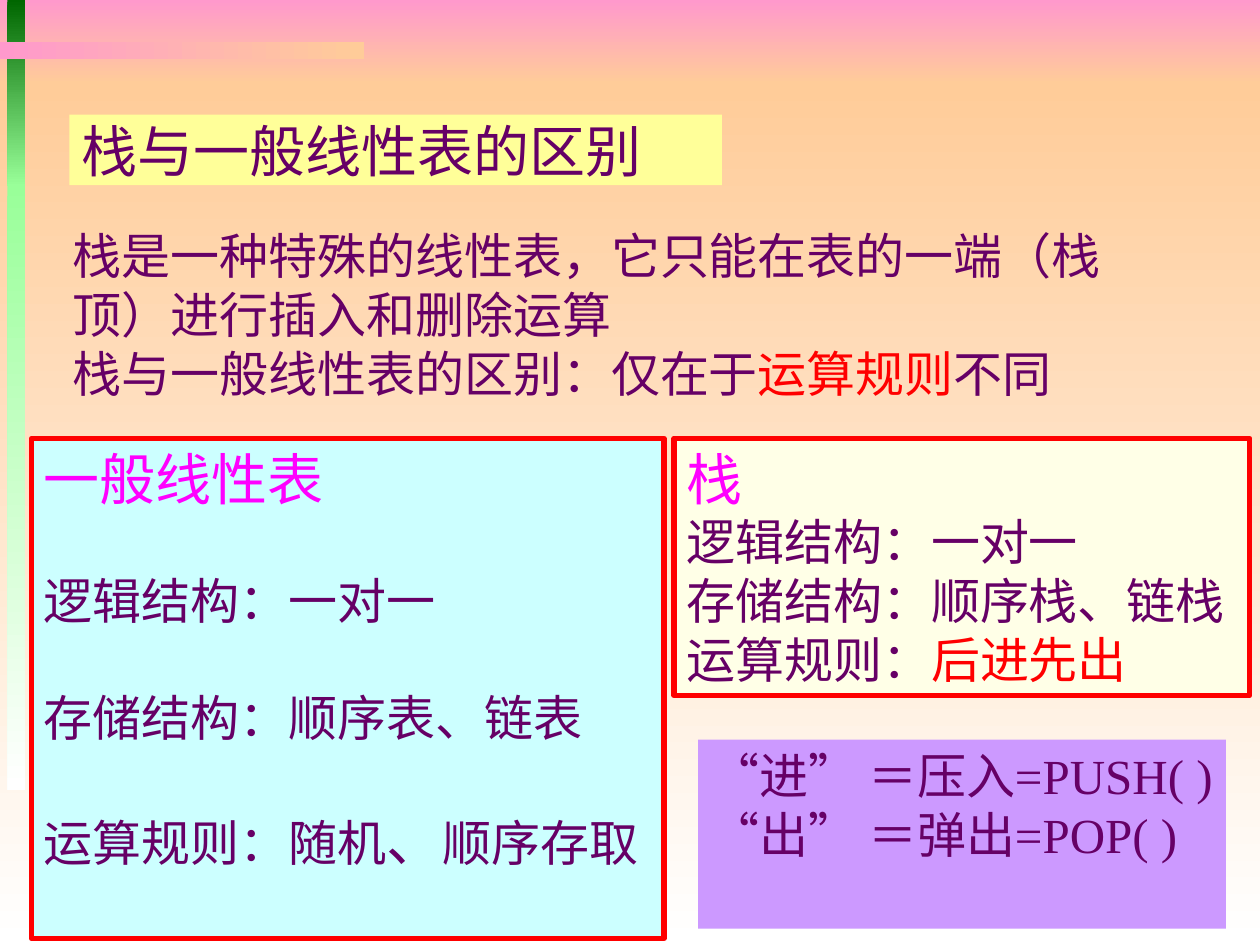
"""Build a slide comparing a stack with a general linear list."""
from pptx import Presentation
from pptx.dml.color import RGBColor
from pptx.enum.shapes import MSO_SHAPE
from pptx.enum.text import MSO_ANCHOR, PP_ALIGN
from pptx.util import Inches, Pt

WHITE = RGBColor(0xFF, 0xFF, 0xFF)
PINK = RGBColor(0xFF, 0x99, 0xCC)
PEACH = RGBColor(0xFF, 0xCC, 0x99)
DARK_GREEN = RGBColor(0x00, 0x66, 0x00)
LIGHT_GREEN = RGBColor(0x99, 0xFF, 0x99)
PURPLE = RGBColor(0x66, 0x00, 0x66)
MAGENTA = RGBColor(0xFF, 0x00, 0xFF)
RED = RGBColor(0xFF, 0x00, 0x00)
LILAC = RGBColor(0xCC, 0x99, 0xFF)
AQUA = RGBColor(0xCC, 0xFF, 0xFF)
CREAM = RGBColor(0xFF, 0xFF, 0xE7)
YELLOW = RGBColor(0xFF, 0xFF, 0x99)


def add_block(place):
    block = slide.shapes.add_shape(MSO_SHAPE.RECTANGLE, *map(Inches, place))
    block.shadow.inherit = False
    block.line.fill.background()
    return block


def write(frame, paragraphs, gap=0, anchor=MSO_ANCHOR.TOP):
    frame_format = {"word_wrap": True, "vertical_anchor": anchor}
    for name, value in frame_format.items():
        setattr(frame, name, value)
    for index, pieces in enumerate(paragraphs):
        paragraph = frame.add_paragraph() if index else frame.paragraphs[0]
        paragraph.alignment = PP_ALIGN.LEFT
        if index and gap:
            paragraph.space_before = Pt(gap)
        for text, size, color in pieces:
            run = paragraph.add_run()
            run.text = text
            run.font.color.rgb = color
            for name, value in {"name": "Times New Roman", "size": Pt(size)}.items():
                setattr(run.font, name, value)


deck = Presentation()
for side, length in {"slide_width": Inches(10), "slide_height": Inches(7.5)}.items():
    setattr(deck, side, length)
slide = deck.slides.add_slide(deck.slide_layouts[6])

backdrop = [
    ((0, 0, 10, 0.67), PINK, PEACH, 270),
    ((0, 0.67, 10, 6.83), PEACH, WHITE, 270),
    ((0.06, 0, 0.14, 1.48), DARK_GREEN, LIGHT_GREEN, 270),
    ((0.06, 1.46, 0.14, 4.81), LIGHT_GREEN, WHITE, 270),
    ((0, 0.33, 2.89, 0.14), PINK, PEACH, 0),
]
for place, start, end, angle in backdrop:
    fill = add_block(place).fill
    fill.gradient()
    fill.gradient_angle = angle
    for stop, color in zip(fill.gradient_stops, (start, end)):
        stop.color.rgb = color

definition = slide.shapes.add_textbox(*map(Inches, (0.48, 1.74, 9.05, 1.5)))
write(definition.text_frame, [
    [("栈是一种特殊的线性表，它只能在表的一端（栈顶）进行插入和删除运算", 28, PURPLE)],
    [("栈与一般线性表的区别：仅在于", 28, PURPLE), ("运算规则", 28, RED), ("不同", 28, PURPLE)],
])

operations = [
    [("“进” ＝压入=PUSH( )", 28, PURPLE)],
    [("“出” ＝弹出=POP( )", 28, PURPLE)],
]
linear_list = [
    [("一般线性表", 32, MAGENTA)],
    [("逻辑结构：一对一", 28, PURPLE)],
    [("存储结构：顺序表、链表", 28, PURPLE)],
    [("运算规则：随机", 28, PURPLE), ("、", 32, PURPLE), ("顺序存取", 28, PURPLE)],
]
stack = [
    [("栈", 32, MAGENTA)],
    [("逻辑结构：一对一", 28, PURPLE)],
    [("存储结构：顺序栈、链栈", 28, PURPLE)],
    [("运算规则：", 28, PURPLE), ("后进先出", 28, RED)],
]
heading = [[("栈与一般线性表的区别", 32, PURPLE)]]

panels = [
    ((5.54, 5.87, 4.19, 1.5), LILAC, False, operations, 0, MSO_ANCHOR.TOP),
    ((0.25, 3.48, 5.02, 3.97), AQUA, True, linear_list, 33.5, MSO_ANCHOR.TOP),
    ((5.35, 3.48, 4.57, 2.04), CREAM, True, stack, 0, MSO_ANCHOR.TOP),
    ((0.55, 0.91, 5.18, 0.56), YELLOW, False, heading, 0, MSO_ANCHOR.MIDDLE),
]
for place, color, framed, paragraphs, gap, anchor in panels:
    panel = add_block(place)
    panel.fill.solid()
    panel.fill.fore_color.rgb = color
    if framed:
        panel.line.color.rgb = RED
        panel.line.width = Pt(3)
    write(panel.text_frame, paragraphs, gap, anchor)

deck.save("out.pptx")
